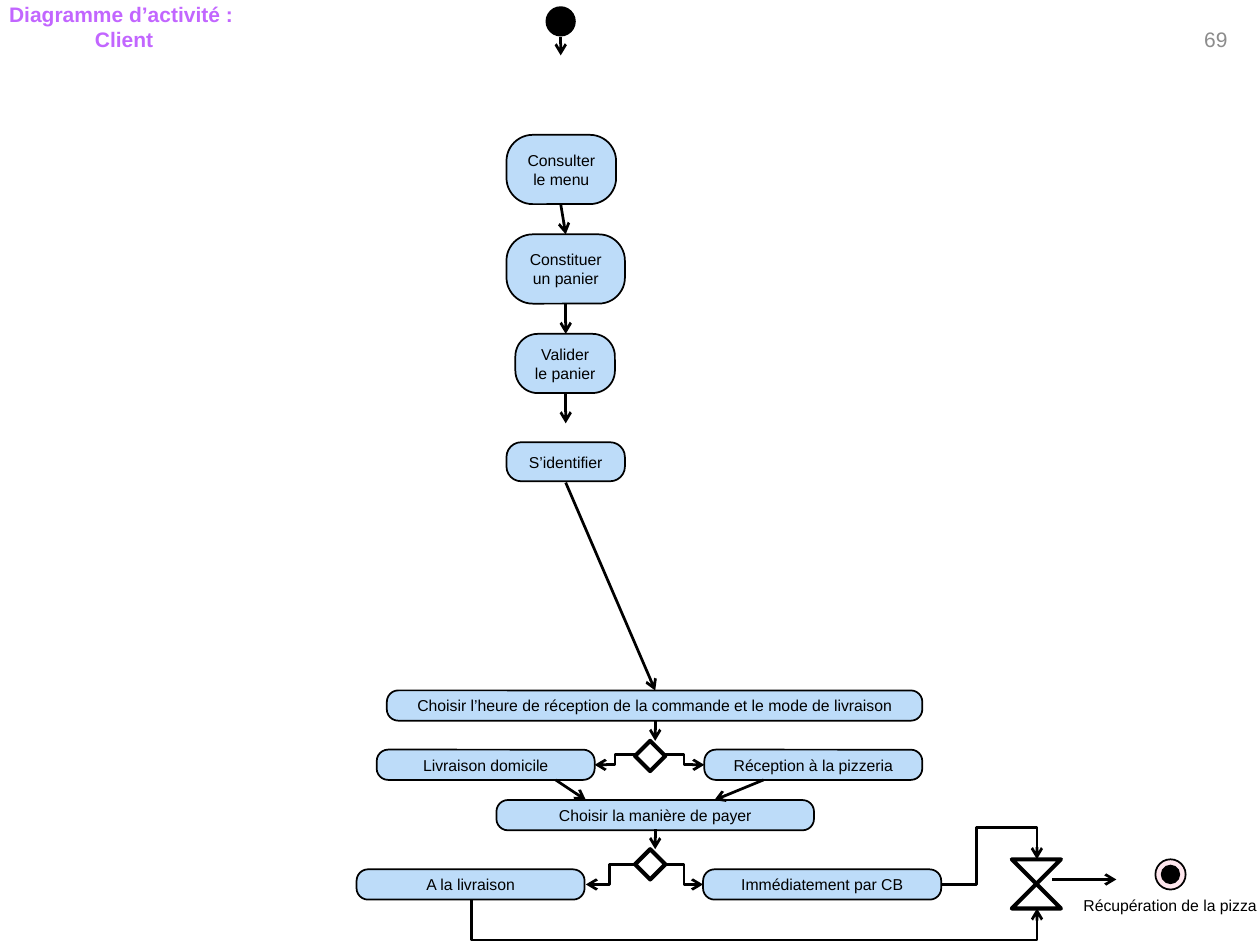
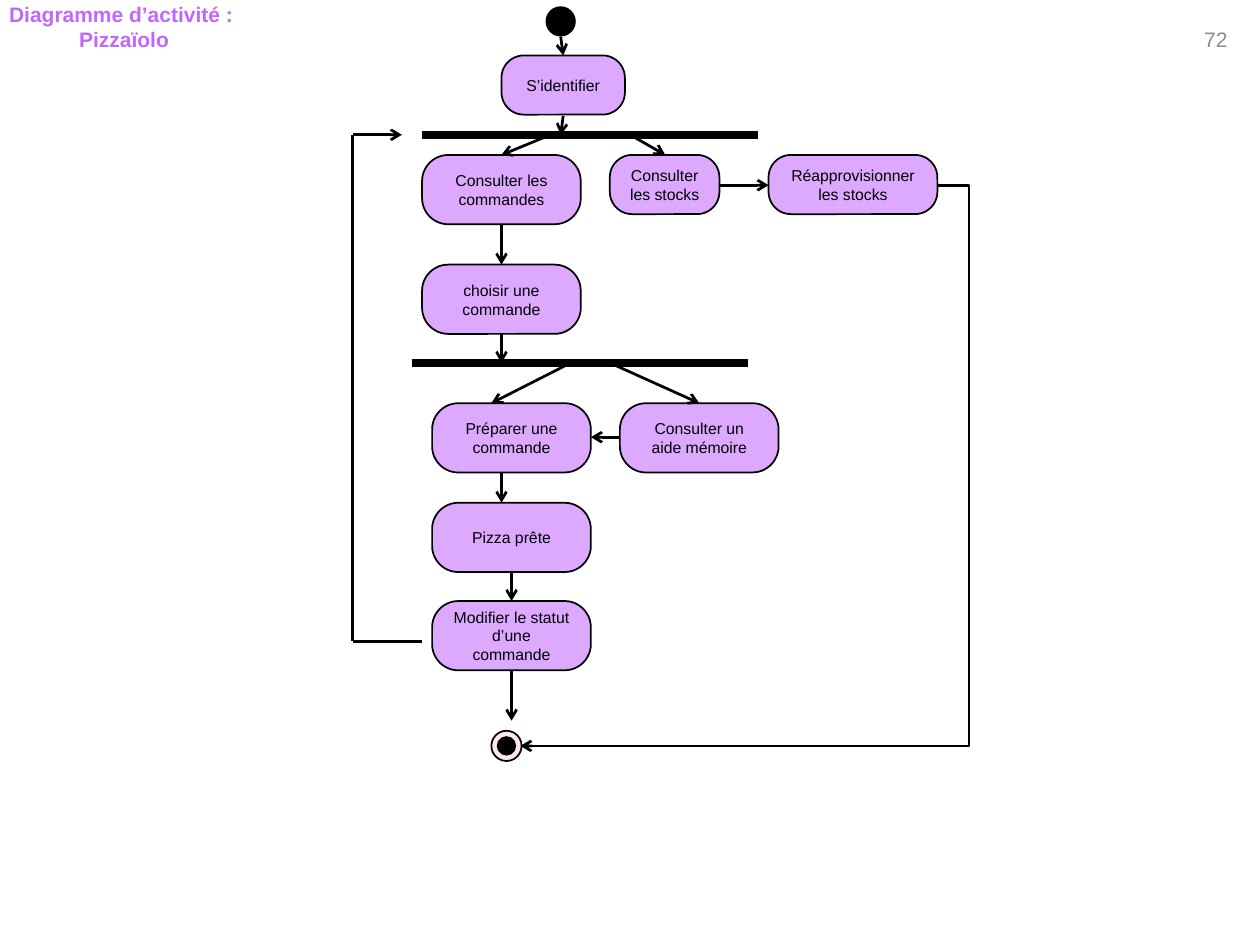
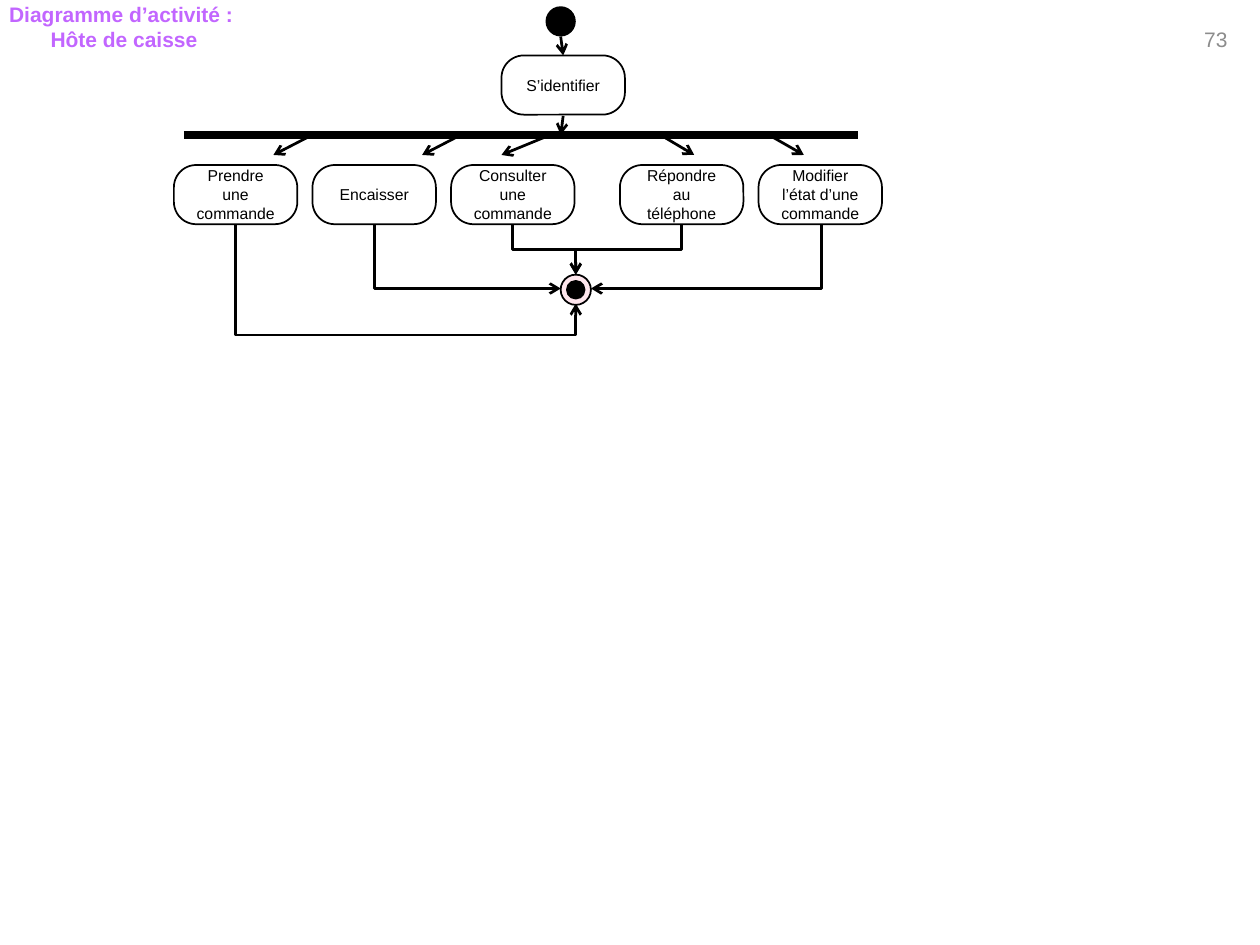
from dataclasses import dataclass
from typing import Any

from lxml.etree import SubElement
from pptx import Presentation
from pptx.dml.color import RGBColor
from pptx.enum.shapes import MSO_CONNECTOR, MSO_SHAPE
from pptx.enum.text import MSO_ANCHOR, MSO_AUTO_SIZE, PP_ALIGN
from pptx.oxml.ns import qn
from pptx.slide import Slide
from pptx.util import Inches, Pt

COLORS = {
    "title": "C266FF",
    "number": "8C8C8C",
    "ink": "000000",
    "client": "BDDCF9",
    "cook": "DCA9FF",
    "cashier": "FFFFFF",
    "ring": "FEE6ED",
    "white": "FFFFFF",
}
FONT = "Arial"
NODE_SIZE = 0.24
Point = tuple[float, float]


@dataclass(frozen=True)
class Box:
    text: str
    x: float
    y: float
    w: float
    h: float


@dataclass(frozen=True)
class Line:
    points: list[Point]
    arrow: bool = True
    width: float = 1.57


def rgb(name: str) -> RGBColor:
    return RGBColor.from_string(COLORS[name])


def write(p: Any, text: str, size: float, color: str, bold: bool = False,
          align: PP_ALIGN = PP_ALIGN.CENTER) -> None:
    p.alignment = align
    r = p.add_run()
    r.text = text
    r.font.name = FONT
    r.font.size = Pt(size)
    r.font.bold = bold
    r.font.color.rgb = rgb(color)


def add_shape(parent: Any, kind: MSO_SHAPE, x: float, y: float, w: float, h: float,
              fill: str | None = None, line: float = 0) -> Any:
    sp = parent.add_shape(kind, Inches(x), Inches(y), Inches(w), Inches(h))
    sp.shadow.inherit = False
    if fill:
        sp.fill.solid()
        sp.fill.fore_color.rgb = rgb(fill)
    else:
        sp.fill.background()
    if line:
        sp.line.width = Pt(line)
        sp.line.color.rgb = rgb("ink")
    else:
        sp.line.fill.background()
    return sp


def add_box(s: Slide, box: Box, fill: str) -> None:
    sp = add_shape(s.shapes, MSO_SHAPE.ROUNDED_RECTANGLE,
                   box.x, box.y, box.w, box.h, fill, 1)
    sp.adjustments[0] = 0.378
    tf = sp.text_frame
    tf.word_wrap = True
    tf.vertical_anchor = MSO_ANCHOR.MIDDLE
    write(tf.paragraphs[0], box.text, 9, "ink")


def add_start(s: Slide) -> None:
    add_shape(s.shapes, MSO_SHAPE.OVAL, 4.33, 0.05, NODE_SIZE, NODE_SIZE, "ink")


def add_end(s: Slide, x: float, y: float) -> None:
    shapes = s.shapes.add_group_shape().shapes
    add_shape(shapes, MSO_SHAPE.OVAL, x, y, NODE_SIZE, NODE_SIZE, "ink")
    ring = add_shape(shapes, MSO_SHAPE.DONUT, x, y, NODE_SIZE, NODE_SIZE, "ring", 1)
    ring.adjustments[0] = 0.208


def add_line(s: Slide, line: Line) -> None:
    (x1, y1), *bends, (x2, y2) = line.points
    downward = bool(bends) and bends[0][0] == x1
    begin, end = (x1, y1), (x2, y2)
    if downward:
        cx, cy = (x1 + x2) / 2, (y1 + y2) / 2
        half_w, half_h = abs(y2 - y1) / 2, abs(x2 - x1) / 2
        side = 1 if x2 > x1 else -1
        begin = (cx + side * half_w, cy - half_h)
        end = (cx - side * half_w, cy + half_h)
    kind = MSO_CONNECTOR.ELBOW if bends else MSO_CONNECTOR.STRAIGHT
    cxn = s.shapes.add_connector(kind, *map(Inches, begin + end))
    cxn.line.width = Pt(line.width)
    cxn.line.color.rgb = rgb("ink")
    pr = cxn._element.spPr
    if downward:
        pr.find(qn("a:xfrm")).set("rot", str((270 if x2 > x1 else 90) * 60000))
    if bends:
        geom = pr.find(qn("a:prstGeom"))
        geom.set("prst", f"bentConnector{len(bends) + 1}")
        ratios = []
        if len(bends) > 1:
            bx, by = bends[0]
            ratios.append((by - y1) / (y2 - y1) if downward else (bx - x1) / (x2 - x1))
        if len(bends) > 2:
            ratios.append((bends[1][1] - y1) / (y2 - y1))
        guides = geom.find(qn("a:avLst"))
        for i, ratio in enumerate(ratios, 1):
            SubElement(guides, qn("a:gd"), name=f"adj{i}",
                       fmla=f"val {round(ratio * 100000)}")
    if line.arrow:
        SubElement(pr.find(qn("a:ln")), qn("a:tailEnd"), type="arrow")
    SubElement(pr, qn("a:effectLst"))


def add_bar(s: Slide, x1: float, x2: float, y: float) -> None:
    add_line(s, Line([(x1, y), (x2, y)], False, 4.5))


def add_diagram(prs: Any, actor: str, number: int, fill: str,
                boxes: list[Box], lines: list[Line]) -> Slide:
    s = prs.slides.add_slide(prs.slide_layouts[5])
    title = s.shapes.title
    title.left, title.top = Inches(-1.22), Inches(-0.04)
    title.width, title.height = Inches(4.41), Inches(0.5)
    tf = title.text_frame
    tf.word_wrap = True
    tf.auto_size = MSO_AUTO_SIZE.NONE
    tf.vertical_anchor = MSO_ANCHOR.TOP
    write(tf.paragraphs[0], "Diagramme d’activité : ", 12, "title", True)
    write(tf.add_paragraph(), actor, 12, "title", True)
    page = add_shape(s.shapes, MSO_SHAPE.ROUNDED_RECTANGLE, 9.3, 0, 0.7, 0.62)
    page.text_frame.vertical_anchor = MSO_ANCHOR.MIDDLE
    write(page.text_frame.paragraphs[0], str(number), 12, "number")
    add_start(s)
    for box in boxes:
        add_box(s, box, fill)
    for line in lines:
        add_line(s, line)
    return s


LOGIN_BOX = Box("S’identifier", 3.98, 0.44, 0.98, 0.47)
LOGIN_LINES = [
    Line([(4.45, 0.29), (4.47, 0.44)]),
    Line([(4.47, 0.92), (4.45, 1.07)]),
]


def build_client(prs: Any) -> None:
    bar_h = 0.24
    boxes = [
        Box("Consulter le menu", 4.02, 1.07, 0.87, 0.55),
        Box("Constituer un panier", 4.02, 1.86, 0.94, 0.55),
        Box("Valider le panier", 4.09, 2.65, 0.79, 0.47),
        Box("S’identifier", 4.02, 3.51, 0.94, 0.31),
        Box("Choisir l’heure de réception de la commande et le mode de livraison",
            3.07, 5.48, 4.25, bar_h),
        Box("Livraison domicile", 2.99, 5.95, 1.73, bar_h),
        Box("Réception à la pizzeria", 5.59, 5.95, 1.73, bar_h),
        Box("Choisir la manière de payer", 3.94, 6.35, 2.52, bar_h),
        Box("A la livraison", 2.83, 6.9, 1.81, bar_h),
        Box("Immédiatement par CB", 5.58, 6.9, 1.89, bar_h),
    ]
    lines = [
        Line([(4.45, 0.29), (4.45, 0.44)]),
        Line([(4.45, 1.62), (4.49, 1.86)]),
        Line([(4.49, 2.41), (4.49, 2.65)]),
        Line([(4.49, 3.12), (4.49, 3.36)]),
        Line([(4.49, 3.83), (5.2, 5.48)]),
        Line([(5.2, 5.72), (5.2, 5.88)]),
        Line([(5.04, 5.99), (4.88, 5.99), (4.88, 6.07), (4.72, 6.07)]),
        Line([(5.28, 5.99), (5.43, 5.99), (5.43, 6.07), (5.59, 6.07)]),
        Line([(4.41, 6.19), (4.65, 6.35)]),
        Line([(6.06, 6.19), (5.67, 6.35)]),
        Line([(5.2, 6.58), (5.2, 6.74)]),
        Line([(5.04, 6.86), (4.84, 6.86), (4.84, 7.02), (4.65, 7.02)]),
        Line([(5.28, 6.86), (5.43, 6.86), (5.43, 7.02), (5.58, 7.02)]),
        Line([(3.74, 7.14), (3.74, 7.46), (8.23, 7.46), (8.23, 7.21)]),
        Line([(7.47, 7.02), (7.75, 7.02), (7.75, 6.57), (8.23, 6.57), (8.23, 6.82)]),
        Line([(8.35, 6.98), (8.86, 6.98)]),
    ]
    s = add_diagram(prs, "Client", 69, "client", boxes, lines)
    for y in (5.88, 6.74):
        add_shape(s.shapes, MSO_SHAPE.DIAMOND, 5.04, y, NODE_SIZE, NODE_SIZE,
                  "white", 2.36)
    add_shape(s.shapes, MSO_SHAPE.FLOWCHART_COLLATE, 8.03, 6.82, 0.39, 0.39, line=2.36)
    add_end(s, 9.17, 6.82)
    label = s.shapes.add_textbox(Inches(8.5), Inches(7.06), Inches(1.69), Inches(0.25))
    tf = label.text_frame
    tf.word_wrap = True
    write(tf.paragraphs[0], "Récupération de la pizza", 9, "ink", align=PP_ALIGN.LEFT)


def build_cook(prs: Any) -> None:
    w, h = 1.26, 0.55
    boxes = [
        LOGIN_BOX,
        Box("Consulter les stocks", 4.84, 1.23, 0.87, 0.47),
        Box("Réapprovisionner les stocks", 6.1, 1.23, 1.34, 0.47),
        Box("Consulter les commandes", 3.35, 1.23, w, h),
        Box("choisir une commande", 3.35, 2.1, w, h),
        Box("Préparer une commande", 3.43, 3.2, w, h),
        Box("Consulter un aide mémoire", 4.92, 3.2, w, h),
        Box("Pizza prête", 3.43, 3.99, w, h),
        Box("Modifier le statut d’une commande", 3.43, 4.77, w, h),
    ]
    lines = LOGIN_LINES + [
        Line([(4.37, 1.07), (3.98, 1.23)]),
        Line([(5, 1.07), (5.28, 1.23)]),
        Line([(5.71, 1.47), (6.1, 1.47)]),
        Line([(3.98, 1.78), (3.98, 2.1)]),
        Line([(3.98, 2.65), (3.98, 2.88)]),
        Line([(4.53, 2.88), (3.9, 3.2)]),
        Line([(4.84, 2.88), (5.55, 3.2)]),
        Line([(4.92, 3.47), (4.69, 3.47)]),
        Line([(3.98, 3.75), (3.98, 3.99)]),
        Line([(4.06, 4.54), (4.06, 4.77)]),
        Line([(4.06, 5.32), (4.06, 5.72)]),
        Line([(2.8, 5.09), (3.35, 5.09)], False),
        Line([(2.8, 5.09), (2.8, 1.07)], False),
        Line([(2.8, 1.07), (3.19, 1.07)]),
        Line([(7.44, 1.47), (7.69, 1.47), (7.69, 5.92), (4.13, 5.92)]),
    ]
    s = add_diagram(prs, "Pizzaïolo", 72, "cook", boxes, lines)
    add_bar(s, 3.35, 6.02, 1.07)
    add_bar(s, 3.27, 5.94, 2.88)
    add_end(s, 3.9, 5.8)


def build_cashier(prs: Any) -> None:
    tasks = [
        ("Prendre une commande", 1.38),
        ("Encaisser", 2.48),
        ("Consulter une commande", 3.58),
        ("Répondre au téléphone", 4.92),
        ("Modifier l’état d’une commande", 6.02),
    ]
    boxes = [LOGIN_BOX] + [Box(text, x, 1.31, 0.98, 0.47) for text, x in tasks]
    forks = [(2.48, 2.17), (3.66, 3.35), (4.37, 3.98), (5.24, 5.51), (6.1, 6.38)]
    lines = LOGIN_LINES + [Line([(x1, 1.07), (x2, 1.23)]) for x1, x2 in forks]
    lines += [
        Line([(1.87, 1.78), (1.87, 2.66), (4.57, 2.66), (4.57, 2.41)]),
        Line([(2.97, 1.78), (2.97, 2.29), (4.45, 2.29)]),
        Line([(4.07, 1.78), (4.07, 1.98), (4.57, 1.98), (4.57, 2.18)]),
        Line([(5.41, 1.78), (5.41, 1.98), (4.57, 1.98), (4.57, 2.18)]),
        Line([(6.52, 1.78), (6.52, 2.29), (4.69, 2.29)]),
    ]
    s = add_diagram(prs, "Hôte de caisse", 73, "cashier", boxes, lines)
    add_bar(s, 1.46, 6.81, 1.07)
    add_end(s, 4.45, 2.18)


prs = Presentation()
prs.slide_width, prs.slide_height = Inches(10), Inches(7.5)
build_client(prs)
build_cook(prs)
build_cashier(prs)
prs.save("out.pptx")
